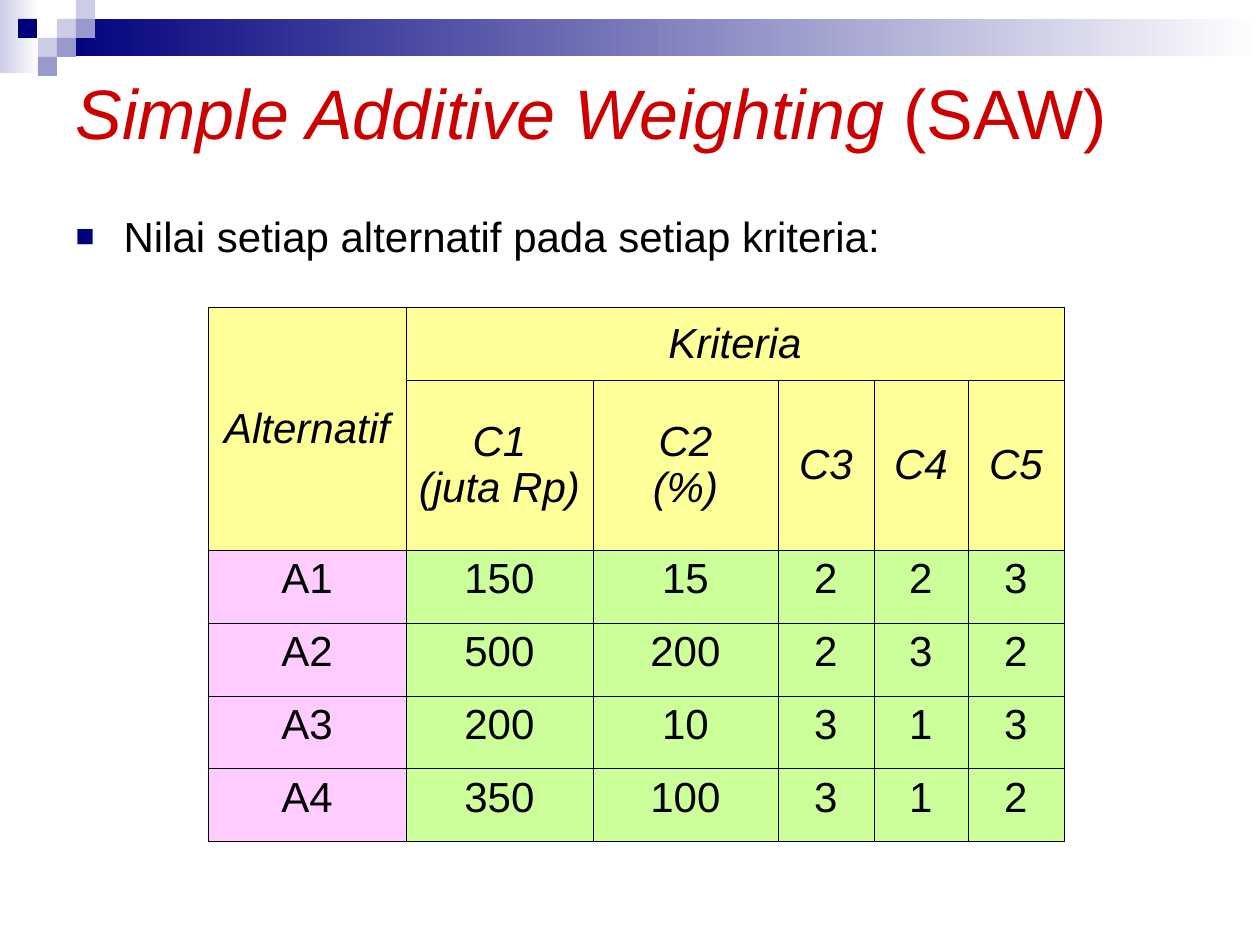
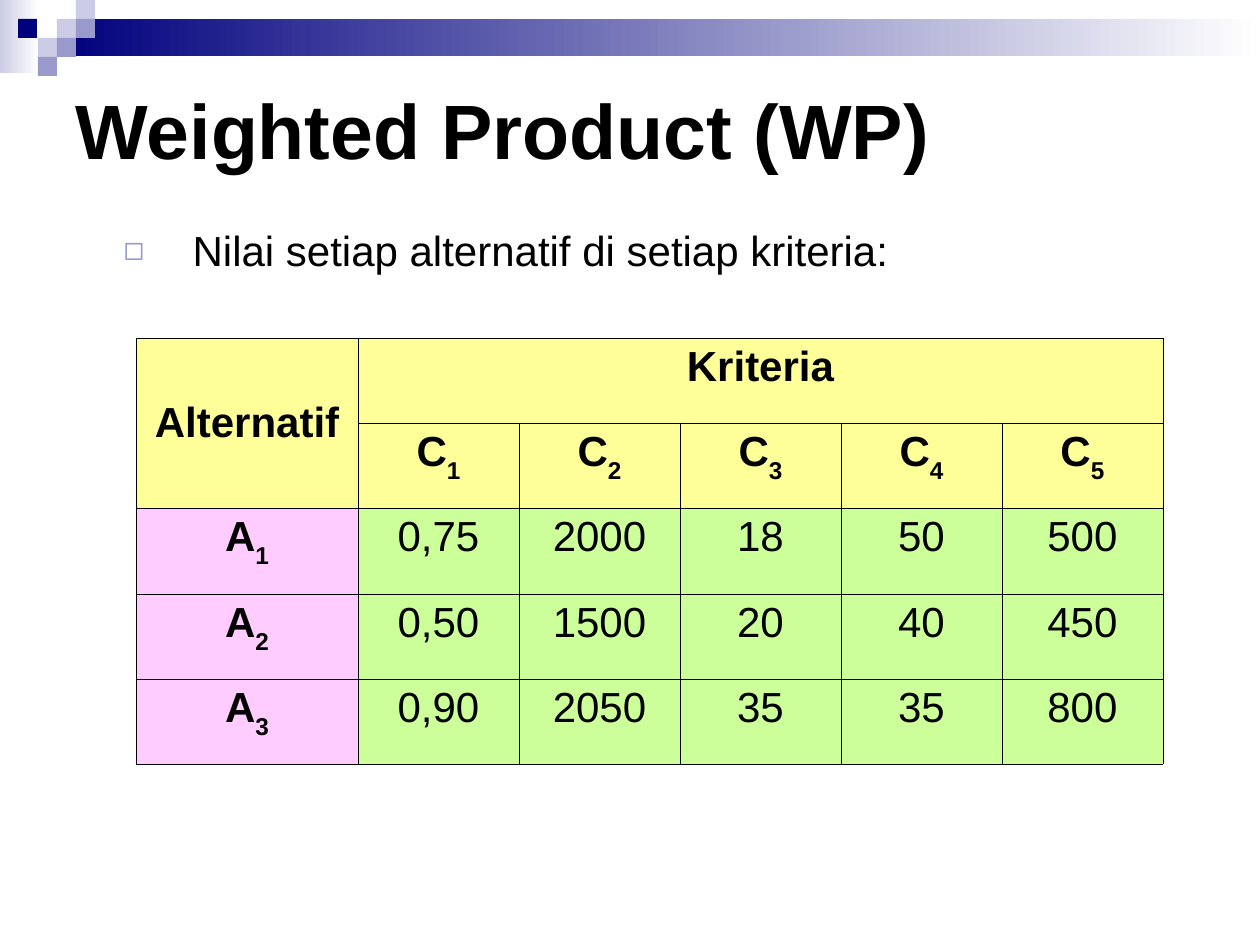
from lxml.etree import SubElement
from pptx import Presentation
from pptx.dml.color import RGBColor
from pptx.enum.shapes import MSO_SHAPE
from pptx.enum.text import MSO_ANCHOR, MSO_AUTO_SIZE, PP_ALIGN
from pptx.oxml.ns import qn
from pptx.util import Emu, Pt

COLORS = {
    "navy": "00007D", "lavender": "CCCCE6", "violet": "9999CC", "white": "FFFFFF",
    "red": "CC0000", "black": "000000",
    "header": "FFFF99", "alternative": "FFCCFF", "value": "CCFF99",
}
FONT = "Arial"
BORDER_WIDTH = Pt(0.45)

BANDS = [
    ((0, 0, 39, 73), "lavender"),
    ((57, 19, 1203, 37), "navy"),
]
SQUARE = 19
SQUARES = [
    (57, 19, "lavender"), (76, 0, "lavender"), (76, 19, "violet"),
    (38, 38, "lavender"), (18, 19, "navy"), (57, 38, "violet"), (38, 57, "violet"),
]

SLIDES = [
    {
        "title": [("Simple Additive Weighting ", True), ("(SAW)", False)],
        "title_box": (63, 63, 1134, 97),
        "title_format": {"size": 40, "color": "red"},
        "body": "Nilai setiap alternatif pada setiap kriteria:",
        "body_box": (63, 204, 995, 103),
        "bullet": {"level": 0, "left": 48, "hanging": 48, "mark": "■", "color": "navy", "percent": 75},
        "table_at": (208, 307),
        "columns": [198, 187, 185, 96, 94, 96],
        "rows": [73, 170, 73, 73, 73, 73],
        "header_format": {"italic": True},
        "label_format": {},
        "header_anchor": MSO_ANCHOR.MIDDLE,
        "cells": [
            ["Alternatif", "Kriteria", "", "", "", ""],
            ["", "C1\n(juta Rp)", "C2\n(%)", "C3", "C4", "C5"],
            ["A1", "150", "15", "2", "2", "3"],
            ["A2", "500", "200", "2", "3", "2"],
            ["A3", "200", "10", "3", "1", "3"],
            ["A4", "350", "100", "3", "1", "2"],
        ],
    },
    {
        "title": [("Weighted Product (WP)", False)],
        "title_box": (63, 63, 1134, 132),
        "title_format": {"size": 44, "bold": True},
        "body": "Nilai setiap alternatif di setiap kriteria:",
        "body_box": (48, 218, 1084, 86),
        "bullet": {"level": 1, "left": 132, "hanging": 69, "mark": "◻", "color": "violet", "percent": 80},
        "table_at": (136, 338),
        "columns": [222] + [161] * 5,
        "rows": [85, 85, 86, 85, 85],
        "header_format": {"bold": True},
        "label_format": {"bold": True},
        "header_anchor": MSO_ANCHOR.TOP,
        "cells": [
            ["Alternatif", "Kriteria", "", "", "", ""],
            ["", "C_1", "C_2", "C_3", "C_4", "C_5"],
            ["A_1", "0,75", "2000", "18", "50", "500"],
            ["A_2", "0,50", "1500", "20", "40", "450"],
            ["A_3", "0,90", "2050", "35", "35", "800"],
        ],
    },
]


def px(length):
    return Emu(round(length * 914400 / 126))


def rgb(name):
    return RGBColor.from_string(COLORS[name])


def write(paragraph, text, size=24, color="black", bold=False, italic=False, subscript=False):
    run = paragraph.add_run()
    run.text = text
    run.font.name = FONT
    run.font.size = Pt(size)
    run.font.color.rgb = rgb(color)
    run.font.bold = bold
    run.font.italic = italic
    if subscript:
        run._r.get_or_add_rPr().set("baseline", "-30000")


def place(shape, box):
    shape.left, shape.top, shape.width, shape.height = map(px, box)


def add_rectangle(slide, box, color, fade=False):
    shape = slide.shapes.add_shape(MSO_SHAPE.RECTANGLE, *map(px, box))
    shape.shadow.inherit = False
    shape.line.fill.background()
    if fade:
        shape.fill.gradient()
        shape.fill.gradient_angle = 0
        for stop, name in zip(shape.fill.gradient_stops, (color, "white")):
            stop.color.rgb = rgb(name)
    else:
        shape.fill.solid()
        shape.fill.fore_color.rgb = rgb(color)
    return shape


def decorate_layout(layout, slide):
    shapes = [add_rectangle(slide, box, color, fade=True) for box, color in BANDS]
    shapes += [add_rectangle(slide, (left, top, SQUARE, SQUARE), color) for left, top, color in SQUARES]
    for number, shape in enumerate(shapes, 101):
        shape.element.xpath("p:nvSpPr/p:cNvPr")[0].set("id", str(number))
        layout.shapes.element.append(shape.element)


def add_bullet(paragraph, level, left, hanging, mark, color, percent):
    paragraph.level = level
    properties = paragraph._p.get_or_add_pPr()
    properties.set("marL", str(px(left)))
    properties.set("indent", str(-px(hanging)))
    paragraph.space_before = Pt(0)
    bullet_color = SubElement(properties, qn("a:buClr"))
    SubElement(bullet_color, qn("a:srgbClr"), val=COLORS[color])
    SubElement(properties, qn("a:buSzPct"), val=str(percent * 1000))
    SubElement(properties, qn("a:buFont"), typeface=FONT)
    SubElement(properties, qn("a:buChar"), char=mark)


def add_title(slide, content):
    title = slide.shapes.title
    place(title, content["title_box"])
    frame = title.text_frame
    frame.auto_size = MSO_AUTO_SIZE.NONE
    frame.vertical_anchor = MSO_ANCHOR.MIDDLE
    paragraph = frame.paragraphs[0]
    paragraph.alignment = PP_ALIGN.LEFT
    for text, italic in content["title"]:
        write(paragraph, text, italic=italic, **content["title_format"])


def add_body(slide, content):
    body = slide.placeholders[1]
    place(body, content["body_box"])
    body.text_frame.auto_size = MSO_AUTO_SIZE.NONE
    paragraph = body.text_frame.paragraphs[0]
    add_bullet(paragraph, **content["bullet"])
    write(paragraph, content["body"])


def format_cell(cell, text, fill, anchor, text_format):
    properties = cell._tc.get_or_add_tcPr()
    for side in ("a:lnL", "a:lnR", "a:lnT", "a:lnB"):
        line = SubElement(properties, qn(side), w=str(BORDER_WIDTH))
        line_fill = SubElement(line, qn("a:solidFill"))
        SubElement(line_fill, qn("a:srgbClr"), val=COLORS["black"])
    cell.fill.solid()
    cell.fill.fore_color.rgb = rgb(fill)
    cell.vertical_anchor = anchor
    cell.margin_left = cell.margin_right = px(12)
    cell.margin_top = cell.margin_bottom = px(6)
    if not text:
        return
    for number, line_text in enumerate(text.split("\n")):
        frame = cell.text_frame
        paragraph = frame.add_paragraph() if number else frame.paragraphs[0]
        paragraph.alignment = PP_ALIGN.CENTER
        base, _, index = line_text.partition("_")
        write(paragraph, base, **text_format)
        if index:
            write(paragraph, index, subscript=True, **text_format)


def add_criteria_table(slide, content):
    columns, rows = content["columns"], content["rows"]
    box = (*content["table_at"], sum(columns), sum(rows))
    table = slide.shapes.add_table(len(rows), len(columns), *map(px, box)).table
    table.first_row = table.horz_banding = False
    for column, width in zip(table.columns, columns):
        column.width = px(width)
    for row, height in zip(table.rows, rows):
        row.height = px(height)
    for row_number, texts in enumerate(content["cells"]):
        for column_number, text in enumerate(texts):
            anchor = MSO_ANCHOR.TOP
            if row_number < 2:
                fill, text_format = "header", content["header_format"]
                anchor = content["header_anchor"] if column_number else MSO_ANCHOR.MIDDLE
            elif column_number == 0:
                fill, text_format = "alternative", content["label_format"]
            else:
                fill, text_format = "value", {}
            format_cell(table.cell(row_number, column_number), text, fill, anchor, text_format)
    table.cell(0, 0).merge(table.cell(1, 0))
    table.cell(0, 1).merge(table.cell(0, len(columns) - 1))


def main():
    presentation = Presentation()
    presentation.slide_width, presentation.slide_height = px(1260), px(945)
    layout = presentation.slide_layouts[1]
    for number, content in enumerate(SLIDES):
        slide = presentation.slides.add_slide(layout)
        if number == 0:
            decorate_layout(layout, slide)
        add_title(slide, content)
        add_body(slide, content)
        add_criteria_table(slide, content)
    presentation.save("out.pptx")


if __name__ == "__main__":
    main()
